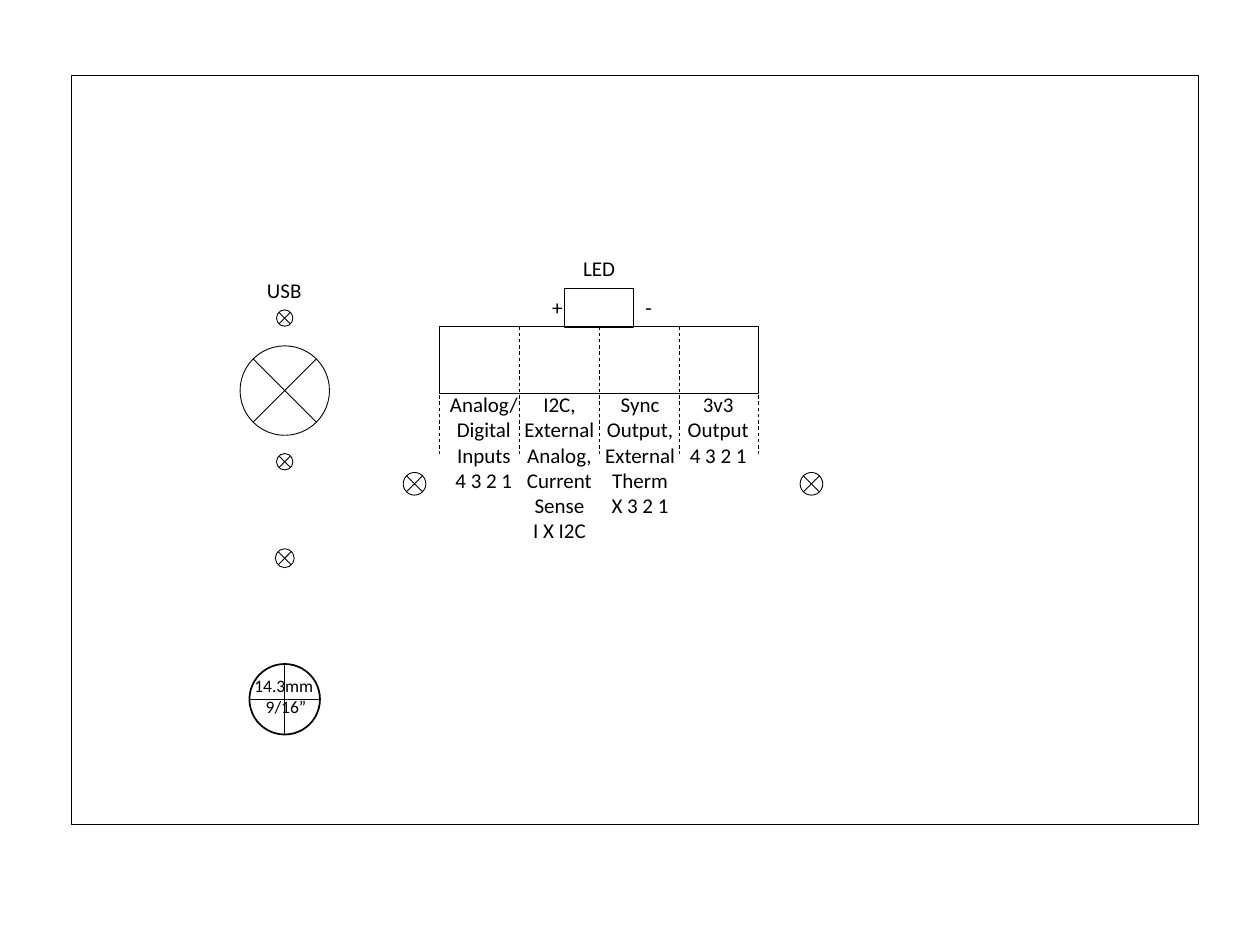
from pptx import Presentation
from pptx import util as u
from pptx.dml import color
from pptx.enum import dml, shapes, text
from pptx.oxml.ns import qn
from lxml import etree

INK = {"line": "000000", "text": "000000"}
COLS, ROWS = 100, 75  # grid cells of a tenth of an inch


class Panel:
    def __init__(self, deck):
        self.slide = deck.slides.add_slide(deck.slide_layouts[6])
        self.items = self.slide.shapes
        self.cell = (deck.slide_width / COLS, deck.slide_height / ROWS)

    def grid(self, *vals):
        return [u.Emu(round(v * self.cell[i % 2])) for i, v in enumerate(vals)]

    def pen(self, item, width, dash=False):
        item.line.color.rgb = color.RGBColor.from_string(INK["line"])
        item.line.width = u.Pt(width)
        if dash:
            item.line.dash_style = dml.MSO_LINE.DASH

    def shape(self, kind, x, y, w, h, width=0.5):
        item = self.items.add_shape(kind, *self.grid(x, y, w, h))
        item.shadow.inherit = False
        item.fill.background()
        self.pen(item, width)
        return item

    def box(self, *place):
        return self.shape(shapes.MSO_SHAPE.RECTANGLE, *place)

    def ring(self, x, y, size, width=0.5):
        return self.shape(shapes.MSO_SHAPE.OVAL, x - size / 2, y - size / 2,
                          size, size, width)

    def rule(self, x1, y1, x2, y2, dash=False):
        item = self.items.add_connector(shapes.MSO_CONNECTOR.STRAIGHT,
                                        *self.grid(x1, y1, x2, y2))
        self.pen(item, 0.5, dash)
        etree.SubElement(item._element.spPr, qn("a:effectLst"))
        return item

    def hole(self, x, y, size):
        self.ring(x, y, size)
        r = size / 2 * 0.71
        self.rule(x - r, y - r, x + r, y + r)
        self.rule(x - r, y + r, x + r, y - r)

    def label(self, x, y, w, h, lines, size=12, wrap=True):
        frame = self.items.add_textbox(*self.grid(x, y, w, h)).text_frame
        frame.word_wrap = wrap
        frame.auto_size = text.MSO_AUTO_SIZE.SHAPE_TO_FIT_TEXT
        for i, line in enumerate(lines):
            par = frame.add_paragraph() if i else frame.paragraphs[0]
            par.alignment = text.PP_ALIGN.CENTER if wrap else text.PP_ALIGN.LEFT
            run = par.add_run()
            run.text = line
            run.font.size = u.Pt(size)
            run.font.name = "Calibri"
            run.font.color.rgb = color.RGBColor.from_string(INK["text"])
        return frame


def main():
    deck = Presentation()
    deck.slide_width, deck.slide_height = u.Inches(10), u.Inches(7.5)
    panel = Panel(deck)

    # Panel outline
    panel.box(5.7, 6, 89.4, 59.4)

    # USB port and screw holes
    axis = 22.6
    for y, size in ((31, 7.1), (36.65, 1.3), (25.25, 1.3), (44.3, 1.5)):
        panel.hole(axis, y, size)
    panel.label(20.2, 21.5, 4.8, 3, ["USB"], wrap=False)

    # Terminal block with its four parts
    left, top, pitch = 34.9, 25.9, 6.33
    block = panel.box(left, top, 4 * pitch, 5.3)
    parts = (
        (34.5, 7.8, ["Analog/", "Digital", "Inputs", "4 3 2 1"]),
        (40.5, 7.8, ["I2C,", "External", "Analog,", "Current", "Sense",
                     "I X I2C"]),
        (46.9, 7.8, ["Sync Output,", "External", "Therm", "X 3 2 1"]),
        (53.4, 7.2, ["3v3", "Output", "4 3 2 1"]),
    )
    for x, w, lines in parts:
        panel.label(x, 30.6, w, 2 * len(lines) + 3.1, lines)
    for i in range(5):
        x = left + i * pitch
        split = panel.rule(x, top, x, 36, dash=True)
        if i == 2:
            split.begin_connect(block, 0)

    # Holes beside the block
    for x in (32.9, 64.4):
        panel.hole(x, 38.4, 1.8)

    # Round opening with its size
    mid, size = 55.5, 5.6
    panel.ring(axis, mid, size, width=1)
    panel.rule(axis - size / 2, mid, axis + size / 2, mid)
    panel.rule(axis, mid + size / 2, axis, mid - size / 2)
    note = panel.label(19.2, 53.1, 6.8, 4.4, ["14.3mm", "9/16”"],
                       size=10, wrap=False)
    note.paragraphs[1]._p.get_or_add_pPr().set("marL", str(u.Inches(0.09)))

    # LED
    led, w = 44.8, 5.5
    panel.box(led, 22.9, w, 3.1)
    panel.label(led - 1.9, 22.9, 1.9, 3, ["+"])
    panel.label(led + w, 22.9, 1.9, 3, ["-"])
    panel.label(led, 19.8, w, 3, ["LED"])

    deck.save("out.pptx")


if __name__ == "__main__":
    main()
